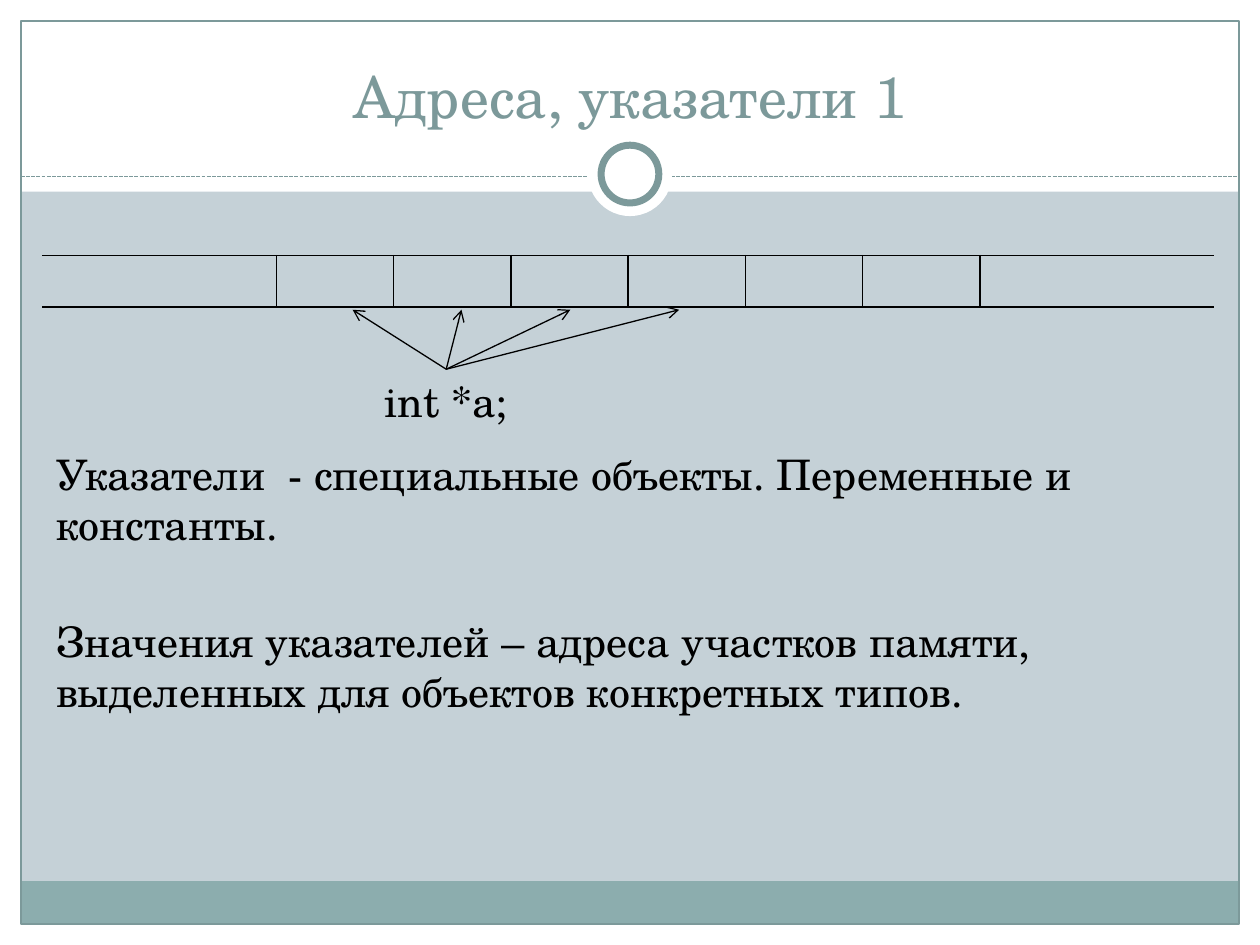
from dataclasses import dataclass

from lxml.etree import SubElement
from pptx import Presentation
from pptx.dml.color import RGBColor
from pptx.enum.dml import MSO_LINE
from pptx.enum.shapes import MSO_CONNECTOR, MSO_SHAPE
from pptx.enum.text import MSO_ANCHOR, MSO_AUTO_SIZE, PP_ALIGN
from pptx.oxml.ns import qn
from pptx.util import Pt


@dataclass(frozen=True)
class Theme:
    """Colours, font and type sizes of the slide."""
    back: RGBColor = RGBColor(0xC5, 0xD1, 0xD7)
    paper: RGBColor = RGBColor(0xFF, 0xFF, 0xFF)
    band: RGBColor = RGBColor(0x8C, 0xAD, 0xAE)
    accent: RGBColor = RGBColor(0x7C, 0x99, 0x9A)
    ink: RGBColor = RGBColor(0, 0, 0)
    font: str = "TeX Gyre Schola"
    title: int = 33
    body: int = 24


T = Theme()


def add_panel(s, kind, box, fill=None, line=None, width=0.75):
    """Add a preset shape with an optional fill and outline."""
    sp = s.shapes.add_shape(kind, *map(Pt, box))
    sp.shadow.inherit = False
    if fill is None:
        sp.fill.background()
    else:
        sp.fill.solid()
        sp.fill.fore_color.rgb = fill
    if line is None:
        sp.line.fill.background()
    else:
        sp.line.color.rgb = line
        sp.line.width = Pt(width)


def add_line(s, start, end, color):
    """Add a thin straight connector without a shadow."""
    cn = s.shapes.add_connector(MSO_CONNECTOR.STRAIGHT, *map(Pt, (*start, *end)))
    cn.line.color.rgb = color
    cn.line.width = Pt(0.75)
    SubElement(cn._element.spPr, qn("a:effectLst"))
    return cn


def style(p, size, color):
    """Set the font of a whole paragraph."""
    p.font.name = T.font
    p.font.size = Pt(size)
    p.font.color.rgb = color


def move(sp, box):
    """Place a shape at the given box and bring it to the front."""
    sp.left, sp.top, sp.width, sp.height = map(Pt, box)
    tree = sp._element.getparent()
    tree.append(sp._element)


def add_frame(s, box):
    """Draw the white margins, bottom band, outline and ring."""
    x, y, w, h = box
    m, head, rule = 12, 109.5, 101
    for strip in ((x, y + h - m, w, m), (x, y, w, head),
                  (x, y, m, h), (x + w - m, y, m, h)):
        add_panel(s, MSO_SHAPE.RECTANGLE, strip, T.paper)
    add_panel(s, MSO_SHAPE.RECTANGLE, (x + m, y + h - m - 24.5, w - 2 * m, 24.5), T.band)
    add_panel(s, MSO_SHAPE.RECTANGLE, (x + m, y + m, w - 2 * m, h - 2 * m), line=T.accent)
    cn = add_line(s, (x + m, y + rule), (x + w - m, y + rule), T.accent)
    cn.line.dash_style = MSO_LINE.SQUARE_DOT
    for d, line in ((48, None), (33, T.accent)):
        disc = (x + (w - d) / 2, y + 99.5 - d / 2, d, d)
        add_panel(s, MSO_SHAPE.OVAL, disc, T.paper, line, 4)


def add_title(s, box, text):
    """Fill and place the title placeholder."""
    sp = s.shapes.title
    move(sp, box)
    tf = sp.text_frame
    tf.text = text
    tf.auto_size = MSO_AUTO_SIZE.NONE
    tf.vertical_anchor = MSO_ANCHOR.BOTTOM
    p = tf.paragraphs[0]
    p.alignment = PP_ALIGN.CENTER
    style(p, T.title, T.accent)


def set_borders(cell, sides):
    """Draw the named sides of a cell and clear the others."""
    tc_pr = cell._tc.get_or_add_tcPr()
    for side in "LRTB":
        ln = SubElement(tc_pr, qn(f"a:ln{side}"), w=str(Pt(1)))
        if side in sides:
            fill = SubElement(ln, qn("a:solidFill"))
            SubElement(fill, qn("a:srgbClr"), val=str(T.ink))
        else:
            SubElement(ln, qn("a:noFill"))


def add_memory(s, box, count=10):
    """Draw the memory strip as a one-row table with open ends."""
    frame = s.shapes.add_table(1, count, *map(Pt, box))
    table = frame.table
    table.first_row = table.horz_banding = False
    for i, cell in enumerate(table.rows[0].cells):
        left = "L" if 2 <= i <= count - 2 else ""
        right = "R" if 1 <= i <= count - 3 else ""
        set_borders(cell, "TB" + left + right)
        cell.fill.background()
        cell.margin_top = cell.margin_bottom = 0


def add_pointer(s, box, text, targets, tip_y):
    """Add the declaration and its arrows to the memory cells."""
    x, y, w, h = box
    tf = s.shapes.add_textbox(*map(Pt, box)).text_frame
    tf.word_wrap = False
    tf.text = text
    style(tf.paragraphs[0], T.body, T.ink)
    for tip_x in targets:
        cn = add_line(s, (x + w / 2, y), (tip_x, tip_y), T.ink)
        SubElement(cn.line._get_or_add_ln(), qn("a:tailEnd"), type="arrow")


def add_body(s, box, texts):
    """Fill and place the body placeholder as plain paragraphs."""
    sp = s.placeholders[1]
    move(sp, box)
    tf = sp.text_frame
    tf.text = "\n".join(texts)
    tf.auto_size = MSO_AUTO_SIZE.NONE
    for i, p in enumerate(tf.paragraphs):
        p.space_before = Pt(38 if i else 0)
        style(p, T.body, T.ink)
        p_pr = p._p.get_or_add_pPr()
        p_pr.set("marL", "0")
        p_pr.set("indent", "0")
        bullet = SubElement(p_pr, qn("a:buNone"))
        p_pr.find(qn("a:defRPr")).addprevious(bullet)


def main():
    """Build the slide and save it."""
    prs = Presentation()
    prs.slide_width, prs.slide_height = Pt(720), Pt(540)
    s = prs.slides.add_slide(prs.slide_layouts[1])
    s.background.fill.solid()
    s.background.fill.fore_color.rgb = T.back
    add_frame(s, (0, 0, 720, 540))
    add_title(s, (24, 18, 672, 60), "Адреса, указатели 1")
    add_memory(s, (24, 146, 670, 29.5))
    targets = [201.5 + 62.2 * i for i in range(4)]
    add_pointer(s, (212.5, 211, 85, 36), "int *а;", targets, 177)
    add_body(s, (25, 252.5, 675, 230), (
        "Указатели  - специальные объекты. Переменные и константы.",
        "Значения указателей – адреса участков памяти, выделенных для объектов конкретных типов.",
    ))
    prs.save("out.pptx")


if __name__ == "__main__":
    main()
